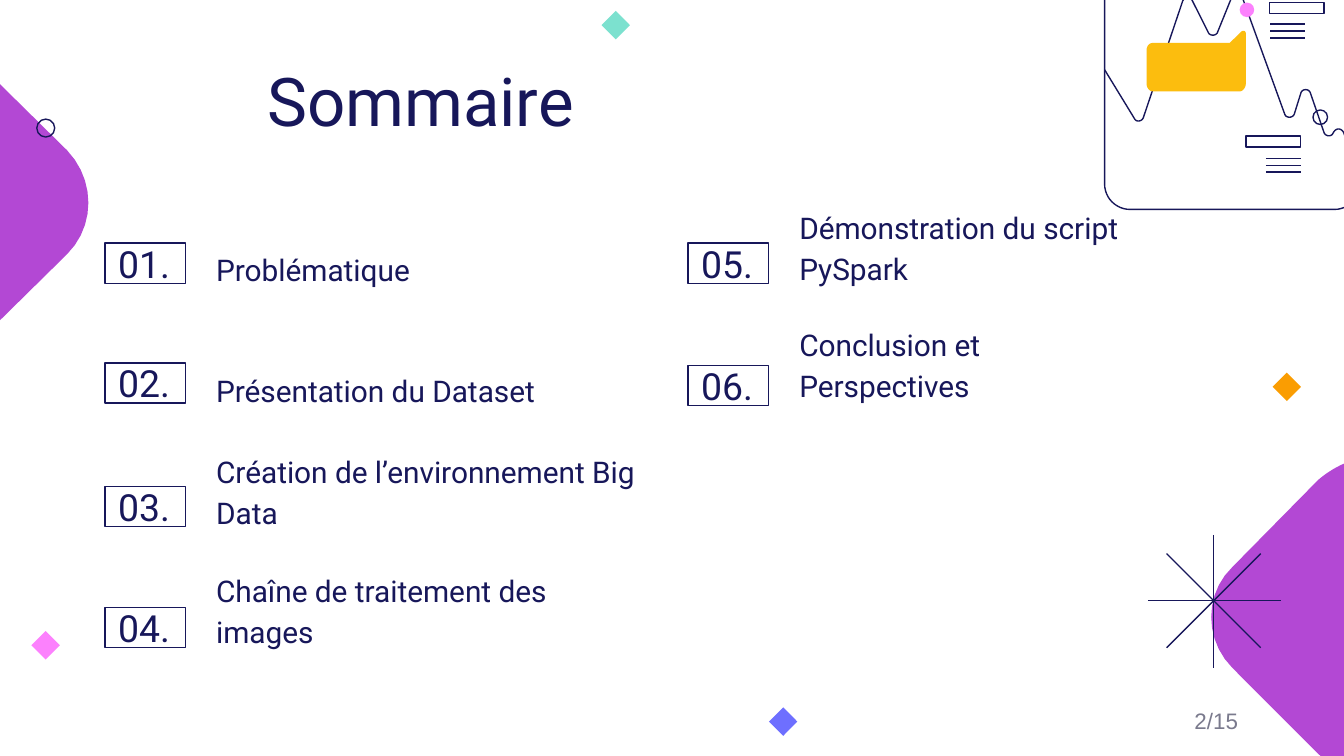
from lxml.etree import SubElement
from pptx import Presentation
from pptx.dml.color import RGBColor
from pptx.enum.shapes import MSO_CONNECTOR, MSO_SHAPE as SHAPE
from pptx.enum.text import MSO_ANCHOR as ANCHOR, PP_ALIGN as ALIGN
from pptx.oxml.ns import qn
from pptx.util import Pt

NAVY, PURPLE, PINK = "17175A", "B348D4", "FC81FD"


def paint(s, fill=None, line=None):
    s.shadow.inherit = False
    for part, color in ((s.fill, fill), (s.line.fill, line)):
        if color:
            part.solid()
            part.fore_color.rgb = RGBColor.from_string(color)
        else:
            part.background()
    if line:
        s.line.width = Pt(0.75)


def write(s, text, size, anchor, color=NAVY, font="Roboto", align=ALIGN.LEFT, spacing=None):
    tf = s.text_frame
    tf.word_wrap = True
    tf.vertical_anchor = anchor
    tf.margin_left = tf.margin_right = tf.margin_top = tf.margin_bottom = Pt(7.2)
    p = tf.paragraphs[0]
    p.text = text
    p.alignment = align
    p.line_spacing = spacing
    p.font.size = Pt(size)
    p.font.name = font
    p.font.color.rgb = RGBColor.from_string(color)


prs = Presentation()
prs.slide_width, prs.slide_height = Pt(720), Pt(405)
shapes = prs.slides.add_slide(prs.slide_layouts[6]).shapes

left_blob = [(-11.5, 33.8), (36, 80.6), (51.1, 96.5, 51.1, 121, 36, 136.1),
             (-11.5, 182.9), (-26.6, 198, -51.1, 198, -66.2, 182.9),
             (-113, 136.1), (-128.9, 121, -128.9, 96.5, -113, 80.6),
             (-66.2, 33.8), (-51.1, 18.7, -26.6, 18.7, -11.5, 33.8)]
right_blob = [(720, 412.6), (715, 411.1, 710.6, 408.2, 706.3, 403.9),
              (660.2, 357.8), (645.1, 342.7, 645.1, 318.2, 660.2, 303.8),
              (706.3, 257), (710.6, 253.4, 715, 250.6, 720, 248.4)]
curve = [(591.8, 37.4), (607.7, 63.4), (608.4, 65.5, 612, 65.5, 612.7, 62.6),
         (633.6, 0.7), (634.3, -1.4, 637.9, -2.2, 638.6, 0),
         (647.3, 17.3), (648, 19.4, 651.6, 19.4, 652.3, 17.3),
         (660.2, -2.2), (660.9, -4.3, 664.6, -4.3, 665.3, -2.2),
         (688.3, 61.2), (689, 63.4, 692.6, 63.4, 693.4, 61.2),
         (697, 49.7), (697.7, 47.5, 701.3, 47.5, 702, 49.7),
         (709.2, 70.6), (709.9, 73.4, 713.5, 73.4, 714.2, 71.3),
         (715.7, 68.4, 718.6, 68.4, 720, 71.3), (728.6, 97.2)]
bubble = [(664.6, 17.3), (658.8, 23), (617.8, 23), (615.6, 23, 614.2, 24.5, 614.2, 27.4),
          (614.2, 44.6), (614.2, 46.8, 615.6, 49, 617.8, 49),
          (663.8, 49), (666, 49, 667.4, 46.8, 667.4, 44.6),
          (667.4, 18), (667.4, 16.6, 666, 15.8, 664.6, 17.3)]
for outline, fill, line in ((left_blob, PURPLE, None), (right_blob, PURPLE, None),
                            (curve, None, NAVY), (bubble, "FCBD0E", None)):
    points = outline[:1]
    for seg in outline[1:]:
        if len(seg) == 2:
            points.append(seg)
            continue
        knots = [points[-1], seg[:2], seg[2:4], seg[4:]]
        for i in range(1, 11):
            t = i / 10
            weights = ((1 - t) ** 3, 3 * t * (1 - t) ** 2, 3 * t * t * (1 - t), t ** 3)
            points.append(tuple(sum(w * k[axis] for w, k in zip(weights, knots))
                                for axis in (0, 1)))
    points = [(Pt(x), Pt(y)) for x, y in points]
    builder = shapes.build_freeform(*points[0])
    builder.add_line_segments(points[1:], close=line is None)
    paint(builder.convert_to_shape(), fill, line)

star = [(650.2, 286.6, 650.2, 357.8), (614.9, 321.9, 686.2, 321.9),
        (675.4, 296.6, 625, 347), (675.4, 347, 625, 296.6)]
text_lines = [(x, y + 3.7 * i, x + 18.5, y + 3.7 * i)
              for x, y in ((680.4, 12.9), (678.2, 84.8)) for i in range(3)]
for ends in star + text_lines:
    s = shapes.add_connector(MSO_CONNECTOR.STRAIGHT, *map(Pt, ends))
    s.line.color.rgb = RGBColor.from_string(NAVY)
    s.line.width = Pt(0.75)
    SubElement(s._element.spPr, qn("a:effectLst"))

for x, y, color in ((19.1, 340.3, PINK), (414.2, 381.2, "6E6FFF"),
                    (684, 201.8, "FA9D02"), (324.5, 8.1, "7CE1CF")):
    s = shapes.add_shape(SHAPE.RECTANGLE, Pt(x), Pt(y), Pt(10.8), Pt(10.8))
    s.rotation = 315
    paint(s, color)

for kind, x, y, w, h, fill, line in (
        (SHAPE.OVAL, 19.7, 63.8, 9.6, 9.6, None, NAVY),
        (SHAPE.OVAL, 664.1, 1.4, 7.8, 7.8, PINK, None),
        (SHAPE.OVAL, 703.4, 58.9, 7.8, 7.8, None, NAVY),
        (SHAPE.RECTANGLE, 680.2, 1.3, 29.2, 5.9, None, NAVY),
        (SHAPE.RECTANGLE, 667.6, 72.9, 29.2, 5.9, None, NAVY),
        (SHAPE.ROUNDED_RECTANGLE, 591.8, -41.8, 136.8, 154, None, NAVY)):
    s = shapes.add_shape(kind, Pt(x), Pt(y), Pt(w), Pt(h))
    paint(s, fill, line)
    if kind == SHAPE.ROUNDED_RECTANGLE:
        s.adjustments[0] = 0.1

s = shapes.add_textbox(Pt(136.1), Pt(24.5), Pt(473), Pt(45.4))
write(s, "Sommaire", 36, ANCHOR.TOP)

topics = [("Problématique", 56.2, 130.3, 126, 251.3, 35.3),
          ("Présentation du Dataset", 56.2, 194.4, 190.8, 205.9, 35.3),
          ("Création de l’environnement Big Data", 56.2, 260.6, 260.6, 244.1, 31),
          ("Chaîne de traitement des images", 56.2, 325.4, 320.4, 216, 34.6),
          ("Démonstration du script PySpark", 368.6, 130.3, 125.3, 246.2, 35.3),
          ("Conclusion et Perspectives", 368.6, 195.8, 187.9, 200.2, 35.3)]
for n, (topic, x, box_y, text_y, w, h) in enumerate(topics, 1):
    s = shapes.add_shape(SHAPE.RECTANGLE, Pt(x), Pt(box_y), Pt(43.2), Pt(21.6))
    paint(s, line=NAVY)
    write(s, f"{n:02}.", 20, ANCHOR.MIDDLE)
    s = shapes.add_textbox(Pt(x + 52.5), Pt(text_y), Pt(w), Pt(h))
    write(s, topic, 16, ANCHOR.BOTTOM, spacing=1.15)

s = shapes.add_textbox(Pt(508.3), Pt(375.1), Pt(162), Pt(21.6))
write(s, "2/15", 12, ANCHOR.MIDDLE, "7A7A8D", "Arial", ALIGN.RIGHT)

prs.save("out.pptx")
